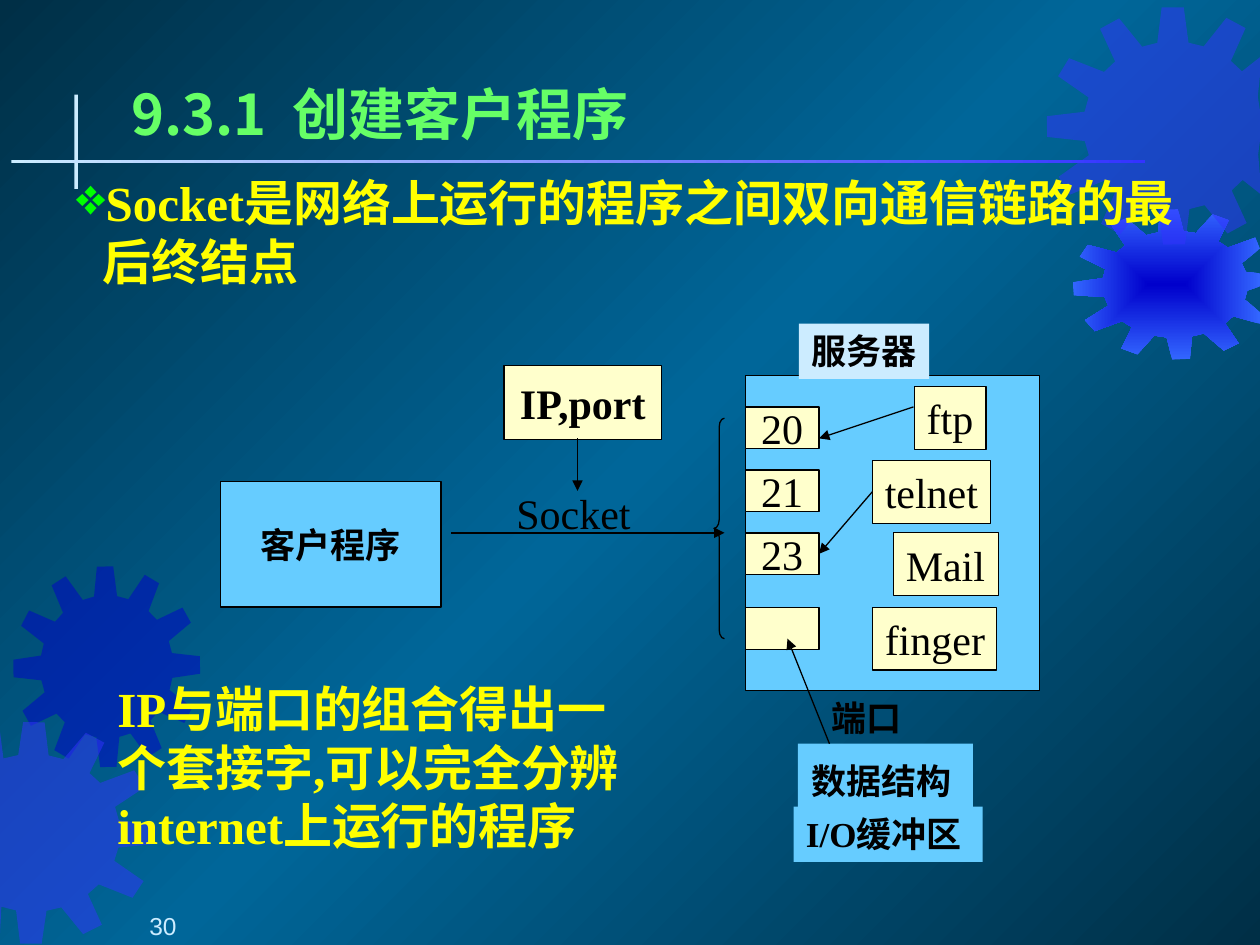
from math import cos, radians, sin
from lxml import etree
from pptx import Presentation
from pptx.dml.color import RGBColor
from pptx.enum.shapes import MSO_CONNECTOR, MSO_SHAPE
from pptx.enum.text import MSO_ANCHOR, PP_ALIGN
from pptx.oxml import parse_xml
from pptx.oxml.ns import nsdecls, qn
from pptx.util import Pt

rgb = RGBColor.from_string
SERIF, SANS = "Times New Roman", "Noto Sans CJK SC"
BLUE, CREAM, PALE = "66CCFF", "FFFFCC", "CCECFF"
BLACK, YELLOW = "000000", "FFFF00"
LINEAR = '<a:lin ang="%d" scaled="0"/>'
FROM_CENTRE = ('<a:path path="rect"><a:fillToRect l="50000" t="50000" '
               'r="50000" b="50000"/></a:path>')


def gradient(parent, stops, direction):
    """Replace the solid fill under parent by a gradient of (percent, colour) stops."""
    gs = "".join(f'<a:gs pos="{pos * 1000}"><a:srgbClr val="{c}"/></a:gs>'
                 for pos, c in stops)
    xml = (f'<a:gradFill {nsdecls("a")} rotWithShape="1"><a:gsLst>{gs}</a:gsLst>'
           f'{direction}</a:gradFill>')
    solid = parent.find(qn("a:solidFill"))
    parent.replace(solid, parse_xml(xml))


def box(x, y, w, h, fill=None, line=None, text="", size=24, bold=False,
        color=BLACK, font=SERIF, align=PP_ALIGN.LEFT, anchor=MSO_ANCHOR.TOP,
        wrap=False, inset=(7.2, 3.6)):
    """Add a filled rectangle, or a text box when there is no fill."""
    area = [Pt(v) for v in (x, y, w, h)]
    if fill:
        sp = s.shapes.add_shape(MSO_SHAPE.RECTANGLE, *area)
        sp.shadow.inherit = False
        sp.fill.solid()
        sp.fill.fore_color.rgb = rgb(fill)
        if line:
            sp.line.color.rgb = rgb(line)
            sp.line.width = Pt(0.75)
        else:
            sp.line.fill.background()
    else:
        sp = s.shapes.add_textbox(*area)
    if text:
        tf = sp.text_frame
        dx, dy = (Pt(v) for v in inset)
        layout = dict(word_wrap=wrap, vertical_anchor=anchor, margin_left=dx,
                      margin_right=dx, margin_top=dy, margin_bottom=dy)
        for name, value in layout.items():
            setattr(tf, name, value)
        p = tf.paragraphs[0]
        p.alignment = align
        r = p.add_run()
        r.text = text
        for name, value in dict(size=Pt(size), bold=bold, name=font).items():
            setattr(r.font, name, value)
        r.font.color.rgb = rgb(color)
        etree.SubElement(r.font._element, qn("a:ea"), typeface=SANS)
    return sp


prs = Presentation()
prs.slide_width, prs.slide_height = Pt(720), Pt(540)
s = prs.slides.add_slide(prs.slide_layouts[6])

# Background
s.background.fill.solid()
gradient(s.background._cSld.bg.bgPr,
         [(0, "002F46"), (50, "006699"), (100, "002F46")], LINEAR % 13500000)

# Gears: centre, radii, turn in degrees, colour (None for the gradient gear)
gears = [
    (61, 381, 53.5, 57.5, -1, "0000CC"),
    (18.5, 476, 70.5, 63.5, 0.7, "3333FF"),
    (671.5, 162.5, 58.5, 43, -3.4, None),
    (670.5, 72, 72.5, 68, -0.3, "3333FF"),
]
TOOTH = [(-10, 0.71), (-5, 1), (5, 1), (10, 0.71)]
for cx, cy, rx, ry, turn, color in gears:
    pts = []
    for tooth in range(12):
        for offset, reach in TOOTH:
            a = radians(tooth * 30 + offset + turn)
            x = min(max(cx + rx * reach * sin(a), 0), 720)
            pts.append((Pt(x), Pt(cy - ry * reach * cos(a))))
    fb = s.shapes.build_freeform(*pts[0])
    fb.add_line_segments(pts[1:], close=True)
    sp = fb.convert_to_shape()
    sp.shadow.inherit = False
    sp.line.fill.background()
    sp.fill.solid()
    sp.fill.fore_color.rgb = rgb(color or "0000CC")
    if color:
        clr = sp._element.spPr.find(qn("a:solidFill"))[0]
        etree.SubElement(clr, qn("a:alpha"), val="50000")
    else:
        gradient(sp._element.spPr, [(0, "0000CC"), (100, "3366FF")], FROM_CENTRE)

# Title with its crossed rules
box(42.5, 54, 2, 54, PALE)
rule = box(6.5, 91.25, 648, 1.75, PALE)
gradient(rule._element.spPr, [(0, PALE), (100, "3333FF")], LINEAR % 0)
box(72, 42, 612, 45, text="9.3.1  创建客户程序", size=32, bold=True, color="66FF66",
    font=SANS, anchor=MSO_ANCHOR.MIDDLE, wrap=True, inset=(3, 3.6))

# Bulleted statement
sp = box(40.5, 95.5, 634, 73, text="Socket是网络上运行的程序之间双向通信链路的最后终结点",
         size=28, bold=True, color=YELLOW, wrap=True, inset=(3, 3))
p = sp.text_frame.paragraphs[0]
p.space_before = Pt(3.5)
pPr = p._p.get_or_add_pPr()
pPr.set("marL", str(Pt(15)))
pPr.set("indent", str(Pt(-15)))
etree.SubElement(etree.SubElement(pPr, qn("a:buClr")), qn("a:srgbClr"), val="00FF00")
etree.SubElement(pPr, qn("a:buSzPct"), val="105000")
etree.SubElement(pPr, qn("a:buChar"), char="❖")

# Server with its services and ports
box(426, 214.5, 168, 180, BLUE, BLACK)
box(456.5, 185, 74.5, 31.5, PALE, text="服务器", size=20, bold=True)
services = {}
for name, x, y, w in [("Mail", 510.5, 304.5, 60), ("ftp", 522.5, 221, 41),
                      ("finger", 498.5, 347, 71), ("telnet", 498.5, 263, 67.5)]:
    services[name] = box(x, y, w, 36, CREAM, BLACK, name)
centred = dict(align=PP_ALIGN.CENTER, anchor=MSO_ANCHOR.MIDDLE)
ports = {}
for number, y in [("20", 232.5), ("21", 268.5), ("23", 304.5), ("", 347)]:
    ports[number] = box(426, y, 42, 24, CREAM, BLACK, number, **centred)

# Port data structure
box(456, 425, 100, 66, BLUE)
for text, x, y, w, fill in [("数据结构", 456.5, 430.5, 94, BLUE),
                            ("I/O缓冲区", 453.5, 461, 108, BLUE),
                            ("端口", 468, 394.5, 66, None)]:
    box(x, y, w, 31.5, fill, text=text, size=20, bold=True, wrap=not fill)

# Client, socket and address
box(126, 275, 126, 72, BLUE, BLACK, "客户程序", 20, True, **centred)
box(288, 275, 90, 36, text="Socket", wrap=True)
box(288, 209, 90, 42, CREAM, BLACK, "IP,port", bold=True, **centred)
brace = s.shapes.add_shape(MSO_SHAPE.LEFT_BRACE, Pt(408), Pt(239), Pt(6), Pt(126))
brace.adjustments[0] = 0.83
brace.shadow.inherit = False
brace.fill.background()
brace.line.color.rgb = rgb(BLACK)
brace.line.width = Pt(0.75)

# Arrows
arrows = [
    (474, 425, 450, 365),
    (522, 232.5, 468, 250.5),
    (258, 304.5, 414, 304.5),
    (330, 250.5, 330, 280.5),
    (498.5, 281, 468, 316.5),
]
for ends in arrows:
    cn = s.shapes.add_connector(MSO_CONNECTOR.STRAIGHT, *[Pt(v) for v in ends])
    cn.line.color.rgb = rgb(BLACK)
    cn.line.width = Pt(0.75)
    etree.SubElement(cn.line._get_or_add_ln(), qn("a:tailEnd"), type="triangle")
    etree.SubElement(cn._element.spPr, qn("a:effectLst"))
cn.begin_connect(services["telnet"], 1)
cn.end_connect(ports["23"], 3)

# Conclusion and page number
box(60, 384, 318, 108, text="IP与端口的组合得出一个套接字,可以完全分辨internet上运行的程序",
    size=28, bold=True, color=YELLOW, wrap=True)
box(0, 507.5, 108, 30, text="30", size=14, color=PALE, font="Arial", wrap=True,
    align=PP_ALIGN.RIGHT, anchor=MSO_ANCHOR.BOTTOM, inset=(7.2, 0))

prs.save("out.pptx")
